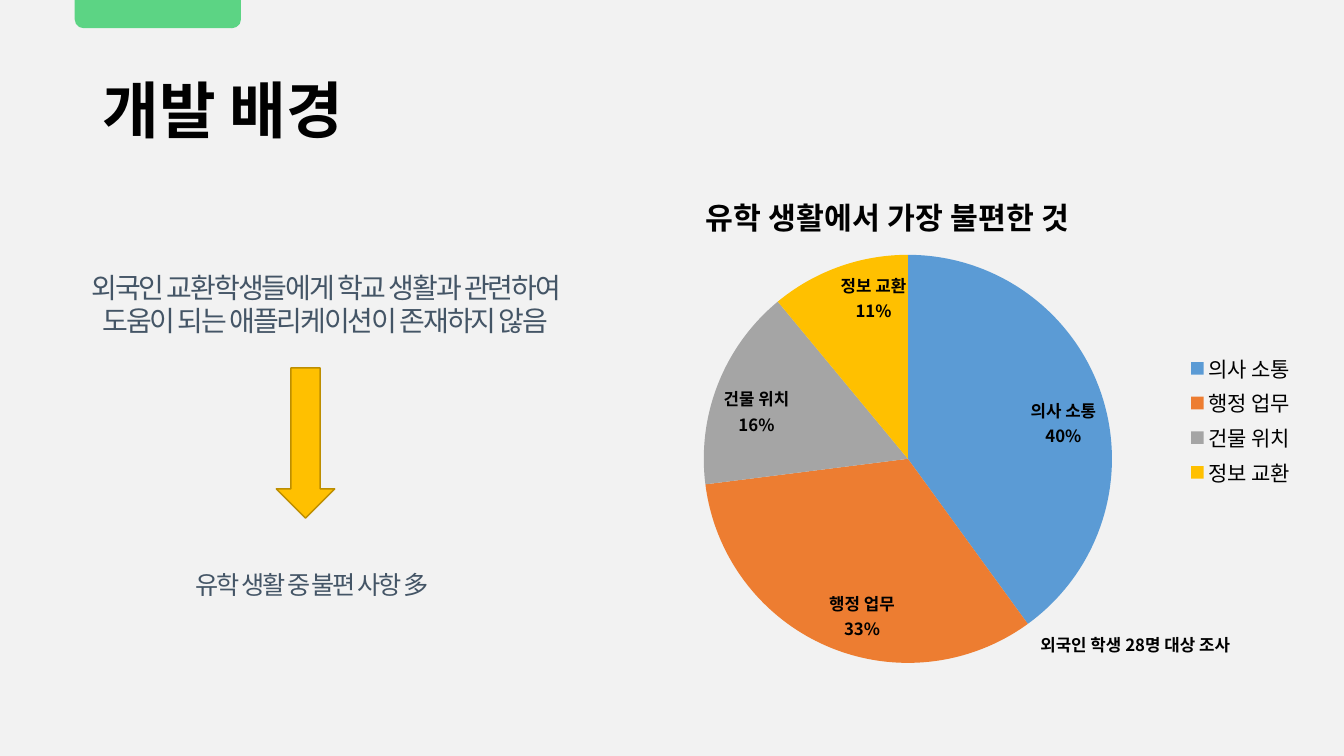
import pptx
import pptx.chart.data
import pptx.dml.color
import pptx.enum.chart
import pptx.enum.shapes
import pptx.enum.text
import pptx.oxml
import pptx.util
from pptx.util import Inches, Pt

COLORS = {"background": "F2F2F2", "tab": "5CD484", "ink": "000000", "body": "445566",
          "arrow": "FFC000", "arrow_edge": "BD8E00"}
HANGUL_FONT = "Noto Sans CJK KR"
ALIGN = pptx.enum.text.PP_ALIGN
ANCHOR = pptx.enum.text.MSO_ANCHOR

TEXTS = [
    {"text": "개발 배경", "at": (0.92, 0.4, 5.13, 1.45), "size": 44, "font": "Arial",
     "color": "ink", "bold": True, "anchor": ANCHOR.MIDDLE, "leading": 0.9},
    {"text": "외국인 교환학생들에게 학교 생활과 관련하여 도움이 되는 애플리케이션이 존재하지 않음",
     "at": (0.54, 2.63, 5.37, 0.77), "size": 20, "color": "body", "align": ALIGN.CENTER,
     "tracking": -150},
    {"text": "유학 생활 중 불편 사항 多", "at": (0.64, 5.6, 4.91, 0.4), "size": 18,
     "color": "body", "align": ALIGN.CENTER, "tracking": -150},
    {"text": "외국인 학생 28명 대상 조사", "at": (10.22, 6.25, 2.4, 0.3), "size": 12,
     "color": "ink", "bold": True},
]
SURVEY_TITLE = "유학 생활에서 가장 불편한 것"
SURVEY = [("의사 소통", 40, "5B9BD5"), ("행정 업무", 33, "ED7D31"),
          ("건물 위치", 16, "A5A5A5"), ("정보 교환", 11, "FFC000")]
SURVEY_AT = (6.28, 1.62, 6.67, 5.1)
PIE_AT = (6.98, 2.53, 4.05, 4.05)
SURVEY_TITLE_AT = (6.95, 1.83)
TAB_AT = (0.74, 0, 1.65, 0.28)
ARROW_AT = (2.74, 3.65, 0.58, 1.49)


def rgb(value):
    return pptx.dml.color.RGBColor.from_string(value)


def inches(box):
    return [Inches(length) for length in box]


def set_font(font, size, color="ink", bold=False, name=HANGUL_FONT):
    font.size, font.bold, font.name = Pt(size), bold, name
    font.color.rgb = rgb(COLORS[color])


def add_text(slide, item):
    frame = slide.shapes.add_textbox(*inches(item["at"])).text_frame
    frame.word_wrap = True
    frame.vertical_anchor = item.get("anchor", ANCHOR.TOP)
    paragraph = frame.paragraphs[0]
    paragraph.text = item["text"]
    paragraph.alignment = item.get("align", ALIGN.LEFT)
    paragraph.line_spacing = item.get("leading")
    set_font(paragraph.font, item["size"], item["color"], item.get("bold", False),
             item.get("font", HANGUL_FONT))
    if "tracking" in item:
        paragraph.runs[0].font._element.set("spc", str(item["tracking"]))


def add_preset(slide, kind, box, fill, edge=None):
    shape = slide.shapes.add_shape(kind, *inches(box))
    shape.shadow.inherit = False
    shape.fill.solid()
    shape.fill.fore_color.rgb = rgb(COLORS[fill])
    if edge:
        shape.line.color.rgb = rgb(COLORS[edge])
        shape.line.width = Pt(1)
    else:
        shape.line.fill.background()
    return shape


def manual_layout(box, inner=False):
    left, top, width, height = SURVEY_AT
    values = {"x": (box[0] - left) / width, "y": (box[1] - top) / height}
    if inner:
        values.update(w=box[2] / width, h=box[3] / height)
    target = '<c:layoutTarget val="inner"/>' if inner else ""
    modes = '<c:xMode val="edge"/><c:yMode val="edge"/>'
    sizes = "".join(f'<c:{key} val="{value:.3f}"/>' for key, value in values.items())
    return pptx.oxml.parse_xml(
        '<c:layout xmlns:c="http://schemas.openxmlformats.org/drawingml/2006/chart">'
        f'<c:manualLayout>{target}{modes}{sizes}</c:manualLayout></c:layout>')


def place(parent, layout, index):
    for old in parent.xpath("c:layout"):
        parent.remove(old)
    parent.insert(index, layout)


def add_survey(slide):
    data = pptx.chart.data.CategoryChartData()
    data.categories = [answer for answer, _, _ in SURVEY]
    data.add_series("Series 1", [share for _, share, _ in SURVEY])
    chart = slide.shapes.add_chart(pptx.enum.chart.XL_CHART_TYPE.PIE,
                                   *inches(SURVEY_AT), data).chart
    set_font(chart.font, 18)
    heading = chart.chart_title.text_frame.paragraphs[0]
    heading.text = SURVEY_TITLE
    set_font(heading.font, 21.6, bold=True)
    chart.chart_title.include_in_layout = False
    place(chart.chart_title._element, manual_layout(SURVEY_TITLE_AT), 1)
    place(chart._chartSpace.chart.plotArea, manual_layout(PIE_AT, True), 0)

    chart.has_legend = True
    chart.legend.position = pptx.enum.chart.XL_LEGEND_POSITION.RIGHT
    chart.legend.include_in_layout = False
    set_font(chart.legend.font, 15)

    pie = chart.plots[0]
    pie.vary_by_categories = True
    for index, (_, _, color) in enumerate(SURVEY):
        fill = pie.series[0].points[index].format.fill
        fill.solid()
        fill.fore_color.rgb = rgb(color)
    labels = pie.series[0].data_labels
    labels.show_value = False
    labels.show_category_name = labels.show_percentage = True
    labels.position = pptx.enum.chart.XL_LABEL_POSITION.INSIDE_END
    set_font(labels.font, 12, bold=True)


def main():
    """Build the development background slide."""
    deck = pptx.Presentation()
    deck.slide_width, deck.slide_height = Inches(13.33), Inches(7.5)
    slide = deck.slides.add_slide(deck.slide_layouts[6])
    slide.background.fill.solid()
    slide.background.fill.fore_color.rgb = rgb(COLORS["background"])

    presets = pptx.enum.shapes.MSO_SHAPE
    tab = add_preset(slide, presets.ROUND_2_SAME_RECTANGLE, TAB_AT, "tab")
    tab.adjustments[0] = 0.32
    tab.rotation = 180
    add_survey(slide)
    add_preset(slide, presets.DOWN_ARROW, ARROW_AT, "arrow", "arrow_edge")
    for item in TEXTS:
        add_text(slide, item)
    deck.save("out.pptx")


if __name__ == "__main__":
    main()
